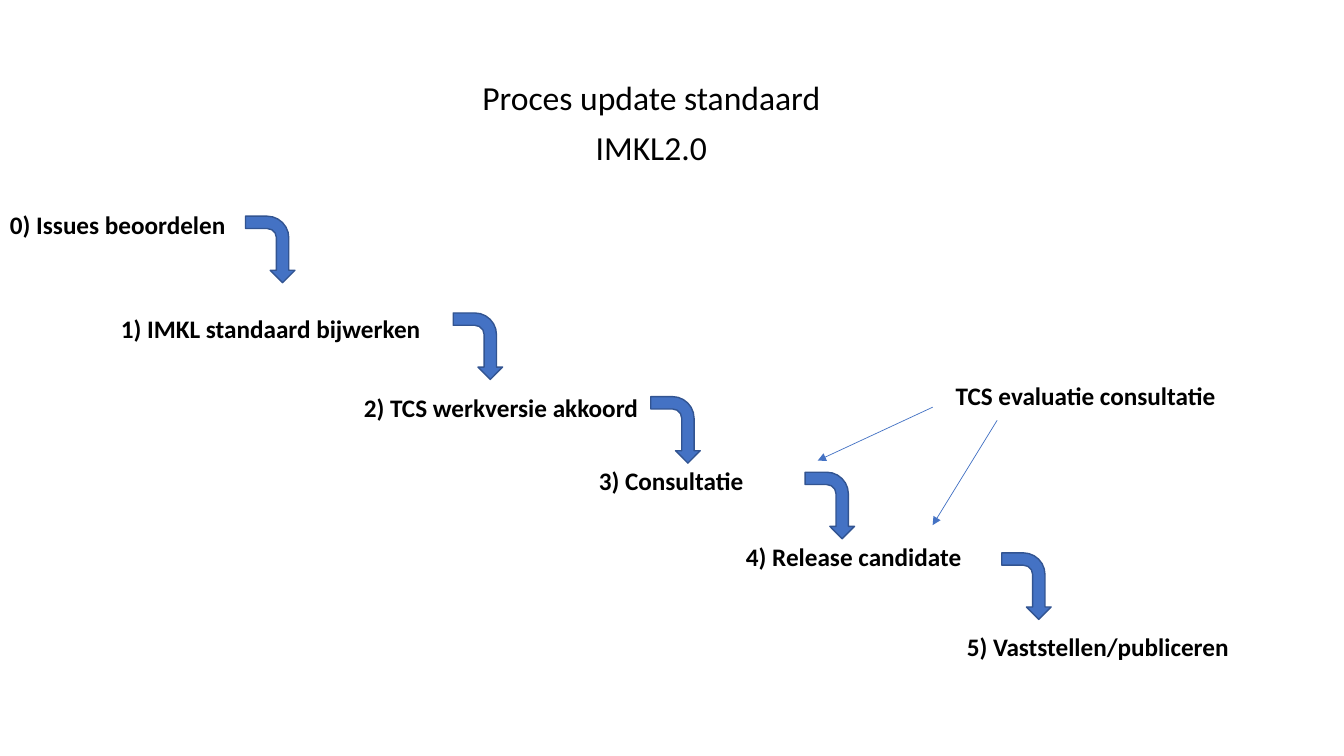
from pptx import Presentation
from pptx.dml.color import RGBColor
from pptx.enum import shapes, text
from pptx.oxml import ns, xmlchemy
from pptx.util import Inches, Pt

FONT = "Calibri"
BLACK, BLUE, DARK_BLUE = "000000", "4472C4", "325491"
TITLE_LINES = ["Proces update standaard", "IMKL2.0"]
TITLE_BOX = (1.46, 0.76, 10, 1.81)
LABEL_HEIGHT = 0.4
LABELS = [
    ("0) Issues beoordelen", 0, 2.03, 2.35),
    ("1) IMKL standaard bijwerken", 1.1, 3.06, 3.2),
    ("2) TCS werkversie akkoord", 3.51, 3.84, 2.94),
    ("3) Consultatie", 5.84, 4.57, 1.65),
    ("4) Release candidate", 7.3, 5.32, 2.35),
    ("5) Vaststellen/publiceren", 9.49, 6.21, 2.82),
    ("TCS evaluatie consultatie", 9.38, 3.72, 2.8),
]
STEP_ARROW_SIZE = (0.66, 0.49)
STEP_ARROWS = [(2.35, 2.23), (4.41, 3.19), (6.37, 4.02), (7.9, 4.77), (9.85, 5.57)]
EVALUATION_ARROWS = [(9.25, 4.04, 8.11, 4.57), (9.89, 4.17, 9.25, 5.21)]


def color(value):
    return RGBColor.from_string(value)


def inches(values):
    return [Inches(value) for value in values]


def add_run(paragraph, words, size, bold=False):
    run = paragraph.add_run()
    run.text = words
    run.font.name = FONT
    run.font.size = Pt(size)
    run.font.bold = bold
    run.font.color.rgb = color(BLACK)


def add_title(slide):
    heading = slide.placeholders[1]
    heading.left, heading.top, heading.width, heading.height = inches(TITLE_BOX)
    frame = heading.text_frame
    frame.vertical_anchor = text.MSO_ANCHOR.TOP
    for index, line in enumerate(TITLE_LINES):
        paragraph = frame.add_paragraph() if index else frame.paragraphs[0]
        paragraph.alignment = text.PP_ALIGN.CENTER
        paragraph.line_spacing = 0.9
        paragraph.space_before = Pt(10)
        add_run(paragraph, line, 24)


def add_label(slide, words, left, top, width):
    box = slide.shapes.add_textbox(*inches((left, top, width, LABEL_HEIGHT)))
    box.text_frame.word_wrap = False
    box.text_frame.auto_size = text.MSO_AUTO_SIZE.SHAPE_TO_FIT_TEXT
    add_run(box.text_frame.paragraphs[0], words, 18, bold=True)


def add_step_arrow(slide, position):
    arrow = slide.shapes.add_shape(
        shapes.MSO_SHAPE.BENT_ARROW, *inches(position + STEP_ARROW_SIZE))
    arrow.rotation = 90
    arrow.shadow.inherit = False
    arrow.fill.solid()
    arrow.fill.fore_color.rgb = color(BLUE)
    arrow.line.color.rgb = color(DARK_BLUE)
    arrow.line.width = Pt(1)


def add_evaluation_arrow(slide, ends):
    connector = slide.shapes.add_connector(
        shapes.MSO_CONNECTOR.STRAIGHT, *inches(ends))
    connector.line.color.rgb = color(BLUE)
    connector.line.width = Pt(0.5)
    head = xmlchemy.OxmlElement("a:tailEnd")
    head.set("type", "triangle")
    properties = connector._element.spPr
    properties.find(ns.qn("a:ln")).append(head)
    properties.append(xmlchemy.OxmlElement("a:effectLst"))


def main():
    presentation = Presentation()
    presentation.slide_width = Inches(13.33)
    presentation.slide_height = Inches(7.5)
    slide = presentation.slides.add_slide(presentation.slide_layouts[0])
    unused = slide.shapes.title._element
    unused.getparent().remove(unused)
    add_title(slide)
    for label in LABELS:
        add_label(slide, *label)
    for position in STEP_ARROWS:
        add_step_arrow(slide, position)
    for ends in EVALUATION_ARROWS:
        add_evaluation_arrow(slide, ends)
    presentation.save("out.pptx")


if __name__ == "__main__":
    main()
